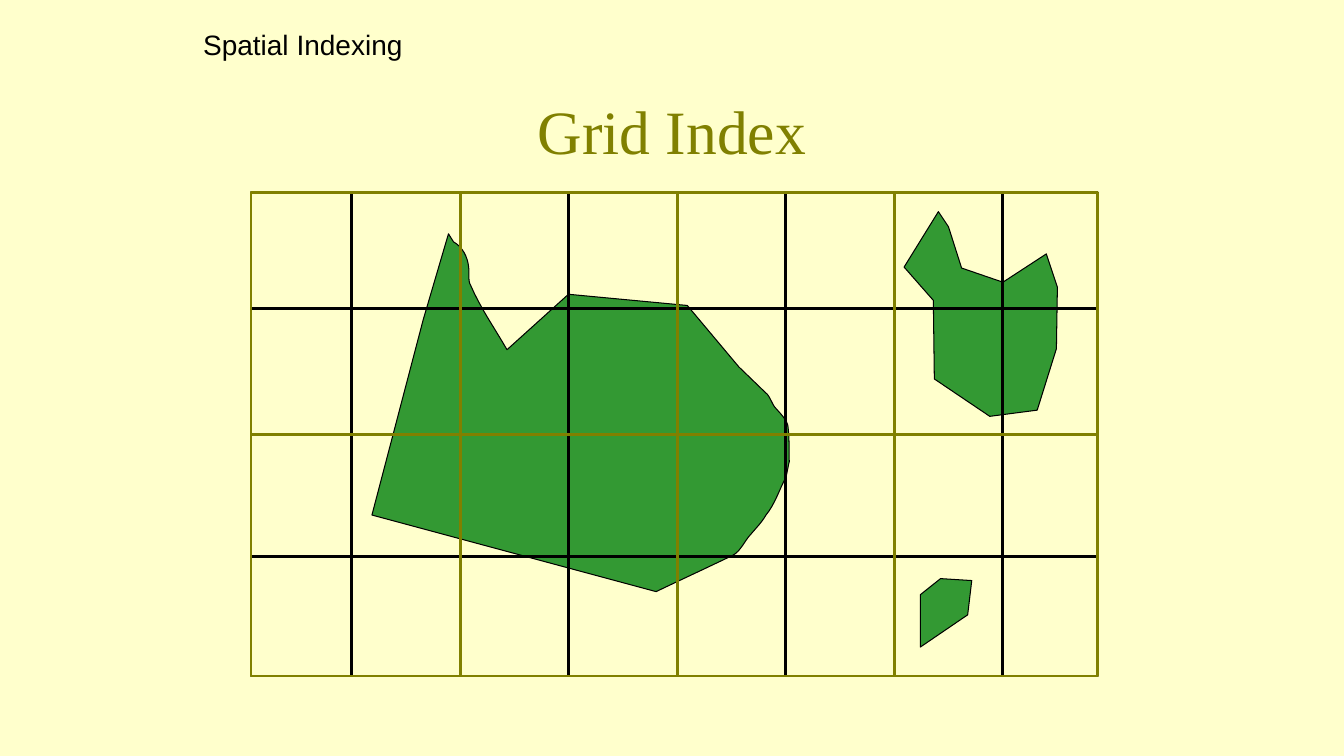
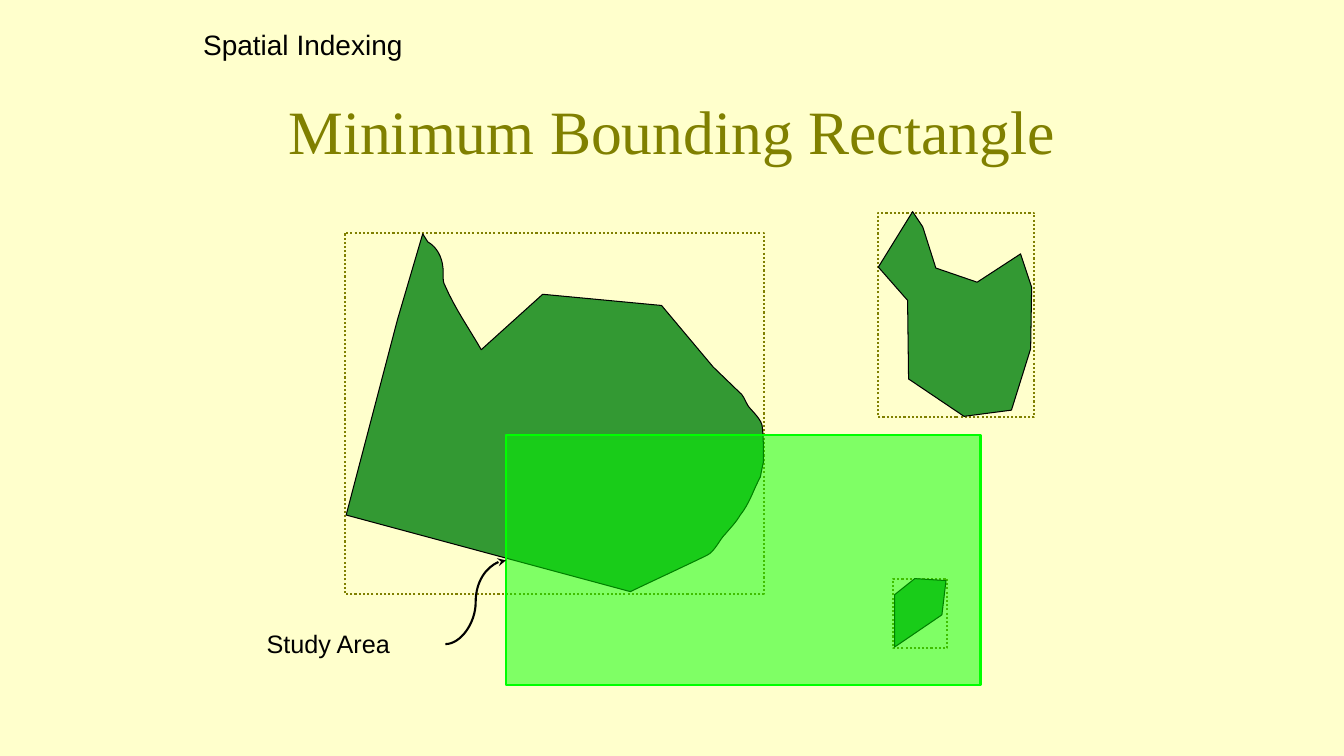
from lxml.etree import SubElement
from pptx import Presentation
from pptx.dml.color import RGBColor
from pptx.enum.dml import MSO_LINE
from pptx.enum.shapes import MSO_CONNECTOR as CONNECTOR, MSO_SHAPE as SHAPE
from pptx.enum.text import MSO_ANCHOR as ANCHOR, MSO_AUTO_SIZE as AUTO_SIZE, PP_ALIGN as ALIGN
from pptx.oxml.ns import qn
from pptx.util import Pt

CREAM = RGBColor(0xFF, 0xFF, 0xCC)
OLIVE = RGBColor(0x80, 0x80, 0x00)
FOREST = RGBColor(0x33, 0x99, 0x33)
LIME = RGBColor(0x00, 0xFF, 0x00)
BLACK = RGBColor(0x00, 0x00, 0x00)

TITLE = {"size": Pt(44), "name": "Times New Roman"}
HEADER = {"size": Pt(20), "name": "Arial"}
LABEL = {"size": Pt(18), "name": "Arial"}

# Outlines in points: a pair is a corner, a triple of pairs is a Bezier curve
LARGE_PARCEL = [
    (302.4, 228.2), (265.7, 367.9), (468.7, 422.6),
    ((486.7, 414), (505.4, 405.4), (523.4, 396.7)),
    ((529.2, 393.8), (532.1, 385.9), (536.4, 381.6)),
    ((540, 377.3), (544.3, 373), (547.2, 367.9)),
    ((553.7, 360), (556.6, 349.9), (561.6, 340.6)),
    ((562.3, 337), (563, 333.4), (563.8, 329.8)),
    ((563.8, 321.8), (563.8, 313.2), (563, 305.3)),
    ((563, 300.2), (555.8, 293.8), (553, 290.2)),
    ((551.5, 288), (549.4, 282.2), (547.2, 280.8)),
    (527.8, 262.1), (491, 218.2), (406.1, 210.2), (362.2, 249.8),
    ((353.5, 234.7), (343.4, 220.3), (336.2, 203.8)),
    ((334.1, 200.2), (335.5, 195.1), (334.8, 190.8)),
    ((334.1, 183.6), (330.5, 176.4), (324, 172.8)),
    (320.4, 167),
]
NOTCHED_PARCEL = [
    (666.7, 214.6), (667.4, 270.7), (707, 297.4), (740.9, 293),
    (754.6, 249.1), (755.3, 205.2), (747.4, 181.4), (716.4, 201.6),
    (686.9, 191.5), (677.5, 162), (670.3, 151.2), (645.8, 190.8),
]
SMALL_PARCEL = [(657.4, 424.8), (657.4, 462.2), (691.2, 439.2), (694.1, 414.7), (671.8, 413.3)]
PARCELS = [LARGE_PARCEL, NOTCHED_PARCEL, SMALL_PARCEL]

# Index grid
GRID_LEFT, GRID_TOP, GRID_WIDTH, GRID_HEIGHT = 179.3, 137.5, 604.8, 345.4
COLUMNS = [251.3 + 77.5 * number for number in range(7)]
ROWS = [220.3, 310.3, 397.4]

# Minimum bounding rectangles: left, top, width, height
BOUNDS = [(246.2, 166.3, 299.5, 257.8), (627.1, 151.9, 111.6, 146.2), (637.9, 413.3, 38.9, 49.7)]
BOUNDS_SHIFT = -18.4


def flatten(outline, steps=8):
    """Replace each curve of an outline by short straight steps."""
    points = []
    for item in outline:
        if len(item) == 2:
            points.append(item)
            continue
        nodes = (points[-1], *item)
        for step in range(1, steps + 1):
            t = step / steps
            weights = ((1 - t) ** 3, 3 * t * (1 - t) ** 2, 3 * t * t * (1 - t), t ** 3)
            points.append(tuple(sum(w * node[axis] for w, node in zip(weights, nodes))
                                for axis in (0, 1)))
    return points


class Deck:
    """Holds the shared style and the slide being drawn."""

    def __init__(self):
        self.presentation = Presentation()
        self.presentation.slide_width = Pt(960)
        self.presentation.slide_height = Pt(540)
        background = self.presentation.slide_master.background.fill
        background.solid()
        background.fore_color.rgb = CREAM
        self.slide = None

    def new_slide(self, title):
        self.slide = self.presentation.slides.add_slide(self.presentation.slide_layouts[5])
        shape = self.slide.shapes.title
        box = {"left": 72, "top": 48, "width": 816, "height": 90}
        for name, value in box.items():
            setattr(shape, name, Pt(value))
        frame = shape.text_frame
        frame.auto_size = AUTO_SIZE.NONE
        frame.vertical_anchor = ANCHOR.MIDDLE
        self.fill_text(frame, title, TITLE, OLIVE, ALIGN.CENTER)
        self.text(138, 16, 158.4, 31.5, "Spatial Indexing", HEADER)

    def fill_text(self, frame, text, style, color=BLACK, align=ALIGN.LEFT):
        frame.word_wrap = True
        paragraph = frame.paragraphs[0]
        paragraph.text = text
        paragraph.alignment = align
        for name, value in style.items():
            setattr(paragraph.font, name, value)
        paragraph.font.color.rgb = color

    def text(self, left, top, width, height, text, style):
        box = self.slide.shapes.add_textbox(Pt(left), Pt(top), Pt(width), Pt(height))
        self.fill_text(box.text_frame, text, style)

    def outline(self, shape, color, width, dash=None):
        shape.line.color.rgb = color
        for name, value in {"width": Pt(width), "dash_style": dash}.items():
            setattr(shape.line, name, value)

    def paint(self, shape, fill, opacity=None):
        shape.shadow.inherit = False
        if fill is None:
            shape.fill.background()
            return
        shape.fill.solid()
        shape.fill.fore_color.rgb = fill
        if opacity is not None:
            color = shape._element.spPr.find(qn("a:solidFill"))[0]
            SubElement(color, qn("a:alpha")).set("val", str(opacity * 1000))

    def rectangle(self, left, top, width, height, color, weight, dash=None, fill=None, opacity=None):
        shape = self.slide.shapes.add_shape(
            SHAPE.RECTANGLE, Pt(left), Pt(top), Pt(width), Pt(height))
        self.paint(shape, fill, opacity)
        self.outline(shape, color, weight, dash)

    def parcel(self, outline, shift=0):
        points = [(Pt(x + shift), Pt(y)) for x, y in flatten(outline)]
        builder = self.slide.shapes.build_freeform(*points[0])
        builder.add_line_segments(points[1:], close=True)
        shape = builder.convert_to_shape()
        self.paint(shape, FOREST)
        self.outline(shape, BLACK, 0.75)

    def line(self, start, end, color, weight, kind=CONNECTOR.STRAIGHT, arrow=None):
        connector = self.slide.shapes.add_connector(kind, *(Pt(value) for value in (*start, *end)))
        self.outline(connector, color, weight)
        properties = connector._element.spPr
        if arrow:
            SubElement(properties.find(qn("a:ln")), qn("a:tailEnd")).set("type", arrow)
        SubElement(properties, qn("a:effectLst"))

    def grid(self, columns, rows, color):
        right, bottom = GRID_LEFT + GRID_WIDTH, GRID_TOP + GRID_HEIGHT
        self.rectangle(GRID_LEFT, GRID_TOP, GRID_WIDTH, GRID_HEIGHT, color, 2)
        for x in columns:
            self.line((x, GRID_TOP), (x, bottom), color, 2)
        for y in rows:
            self.line((GRID_LEFT, y), (right, y), color, 2)


def main():
    deck = Deck()

    # Grid index: fine black grid under a coarse olive one
    deck.new_slide("Grid Index")
    for outline in PARCELS:
        deck.parcel(outline)
    deck.grid(COLUMNS, ROWS, BLACK)
    deck.grid(COLUMNS[1::2], ROWS[1::2], OLIVE)

    # Bounding rectangles and the study area
    deck.new_slide("Minimum Bounding Rectangle")
    for bounds in BOUNDS:
        deck.rectangle(*bounds, OLIVE, 1.5, dash=MSO_LINE.ROUND_DOT)
    for outline in PARCELS:
        deck.parcel(outline, BOUNDS_SHIFT)
    deck.rectangle(361.4, 311, 339, 178.6, LIME, 1.5, fill=LIME, opacity=50)
    deck.text(183.4, 445, 134.6, 29, "Study Area", LABEL)
    deck.line((318.2, 460.1), (361.4, 400.3), BLACK, 1.5, CONNECTOR.CURVE, "stealth")

    deck.presentation.save("out.pptx")


if __name__ == "__main__":
    main()
